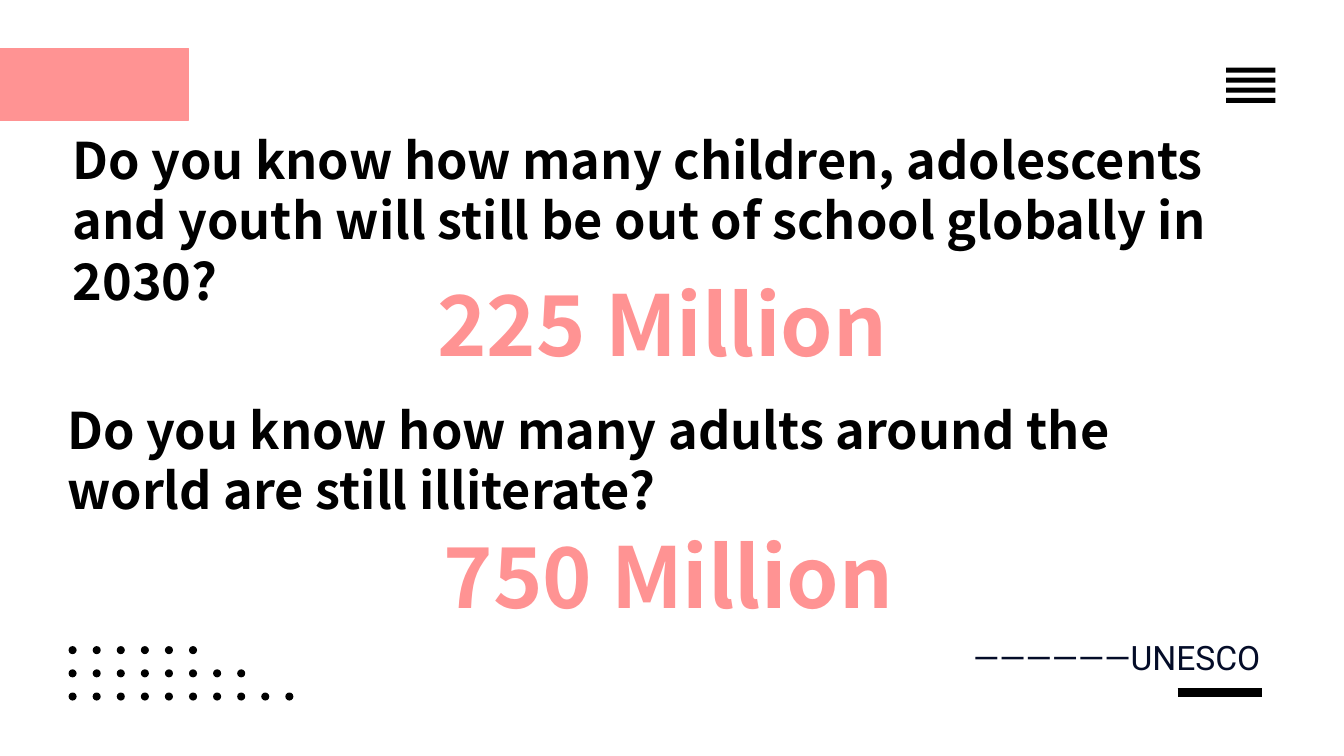
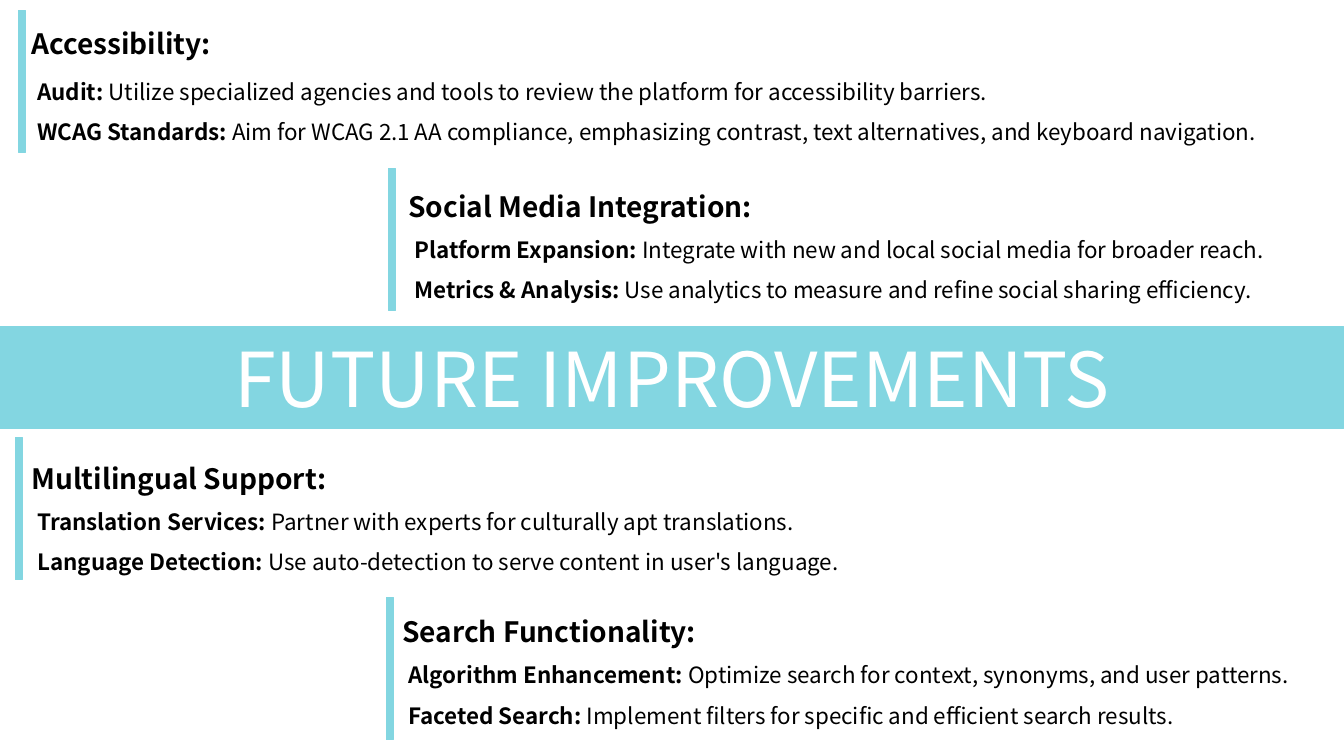
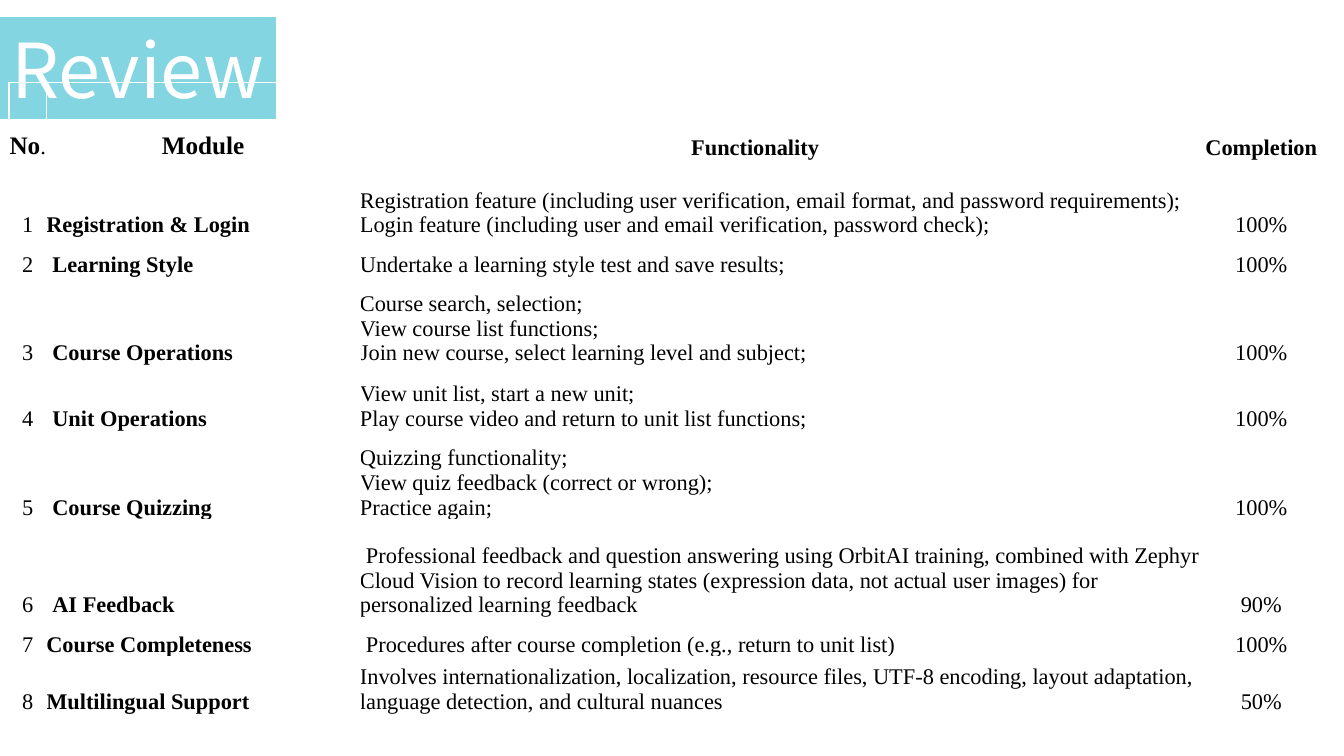
from pptx import Presentation
from pptx.dml.color import RGBColor
from pptx.enum.shapes import MSO_CONNECTOR, MSO_SHAPE
from pptx.enum.text import MSO_ANCHOR, MSO_AUTO_SIZE, PP_ALIGN
from pptx.oxml.ns import qn
from pptx.util import Inches, Pt
from lxml.etree import SubElement

COLORS = {"black": "000000", "white": "FFFFFF", "pink": "FF9393",
          "aqua": "83D6E1", "navy": "040C28"}
SANS, SERIF = "Noto Sans CJK SC", "Times New Roman"
COMPARISON, TITLE_ONLY = 4, 5  # layouts of the default template
INDENT = 0.06

# Slide 2: bar position, text box, heading, entries, extra points above the list
IMPROVEMENTS = [
    ((0.18, 0.1), (0.21, 0.05, 12.91, 1.46), "Accessibility:", [
        ("Audit: ", "Utilize specialized agencies and tools to review the platform "
                    "for accessibility barriers."),
        ("WCAG Standards: ", "Aim for WCAG 2.1 AA compliance, emphasizing contrast, "
                             "text alternatives, and keyboard navigation.")], 3),
    ((3.85, 1.67), (3.95, 1.66, 9.17, 1.37), "Social Media Integration:", [
        ("Platform Expansion: ", "Integrate with new and local social media for broader reach."),
        ("Metrics & Analysis: ", "Use analytics to measure and refine social sharing "
                                 "efficiency.")], 0),
    ((0.15, 4.34), (0.21, 4.36, 9.79, 1.37), "Multilingual Support:", [
        ("Translation Services: ", "Partner with experts for culturally apt translations."),
        ("Language Detection: ", "Use auto-detection to serve content in user's language.")], 0),
    ((3.83, 5.93), (3.89, 5.88, 9.28, 1.37), "Search Functionality:", [
        ("Algorithm Enhancement: ", "Optimize search for context, synonyms, and user patterns."),
        ("Faceted Search: ", "Implement filters for specific and efficient search results.")], 0),
]

# Slide 3: row height, module, module indent, functions, function indent, completion
MODULES = [
    (0.77, "Registration & Login", 0,
     ["Registration feature (including user verification, email format, and password "
      "requirements); Login feature (including user and email verification, password check);"],
     0, "100%"),
    (0.39, "Learning Style", INDENT,
     ["Undertake a learning style test and save results;"], 0, "100%"),
    (0.88, "Course Operations", INDENT,
     ["Course search, selection;", "View course list functions;",
      "Join new course, select learning level and subject;"], 0, "100%"),
    (0.65, "Unit Operations", INDENT,
     ["View unit list, start a new unit;",
      "Play course video and return to unit list functions;"], 0, "100%"),
    (0.88, "Course Quizzing", INDENT,
     ["Quizzing functionality;", "View quiz feedback (correct or wrong);",
      "Practice again;"], 0, "100%"),
    (0.97, "AI Feedback", INDENT,
     ["Professional feedback and question answering using OrbitAI training, combined with "
      "Zephyr Cloud Vision to record learning states (expression data, not actual user "
      "images) for personalized learning feedback"], INDENT, "90%"),
    (0.39, "Course Completeness", 0,
     ["Procedures after course completion (e.g., return to unit list)"], INDENT, "100%"),
    (0.57, "Multilingual Support", 0,
     ["Involves internationalization, localization, resource files, UTF-8 encoding, layout "
      "adaptation, language detection, and cultural nuances"], 0, "50%"),
]
COLUMN_WIDTHS = [0.37, 3.11, 8.34, 1.2]
HEADER_HEIGHT = 0.77


def color(name):
    return RGBColor.from_string(COLORS[name])


def place(shape, left, top, width, height):
    shape.left, shape.top = Inches(left), Inches(top)
    shape.width, shape.height = Inches(width), Inches(height)


def paint(shape, name, line_width=None):
    shape.fill.solid()
    shape.fill.fore_color.rgb = color(name)
    if line_width:
        shape.line.color.rgb = color(name)
        shape.line.width = Pt(line_width)
    else:
        shape.line.fill.background()


def add_block(shapes, kind, box, name, line_width=None):
    shape = shapes.add_shape(kind, *map(Inches, box))
    shape.shadow.inherit = False
    paint(shape, name, line_width)


def add_run(paragraph, text, size, name="black", bold=False, font=SANS):
    run = paragraph.add_run()
    run.text = text
    run.font.size, run.font.bold, run.font.name = Pt(size), bold, font
    run.font.color.rgb = color(name)


def next_paragraph(frame, index):
    return frame.add_paragraph() if index else frame.paragraphs[0]


def set_indent(paragraph, left=0, first=0):
    properties = paragraph._p.get_or_add_pPr()
    properties.set("marL", str(Inches(left)))
    properties.set("indent", str(Inches(first)))


def set_title(slide, box, text, size, name, bold=False, align=PP_ALIGN.CENTER,
              anchor=MSO_ANCHOR.MIDDLE, wrap=True):
    title = slide.shapes.title
    place(title, *box)
    frame = title.text_frame
    frame.auto_size, frame.word_wrap = MSO_AUTO_SIZE.NONE, wrap
    frame.vertical_anchor = anchor
    frame.paragraphs[0].alignment = align
    add_run(frame.paragraphs[0], text, size, name, bold)
    return title


def add_banner_title(slide, top, width, text, wrap=True):
    title = set_title(slide, (0, top, width, 1.01), text, 54, "white", wrap=wrap)
    paint(title, "aqua", 0.75)


def add_text(slide, box, text, size, name, bold=True, font=SANS, align=PP_ALIGN.LEFT):
    frame = slide.shapes.add_textbox(*map(Inches, box)).text_frame
    frame.word_wrap = True
    frame.paragraphs[0].alignment = align
    add_run(frame.paragraphs[0], text, size, name, bold, font)


def fill_list(placeholder, box, heading, entries, extra_space):
    place(placeholder, *box)
    frame = placeholder.text_frame
    frame.auto_size, frame.vertical_anchor = MSO_AUTO_SIZE.NONE, MSO_ANCHOR.TOP
    for index, entry in enumerate([heading, *entries]):
        paragraph = next_paragraph(frame, index)
        paragraph.line_spacing = 1.5
        paragraph.space_before = Pt(extra_space if index == 1 else 0)
        set_indent(paragraph, left=INDENT if index else 0)
        SubElement(paragraph._p.get_or_add_pPr(), qn("a:buNone"))
        if index == 0:
            add_run(paragraph, entry, 20, bold=True)
        else:
            label, detail = entry
            add_run(paragraph, label, 16, bold=True)
            add_run(paragraph, detail, 16)


def fill_cell(cell, lines, align=PP_ALIGN.LEFT, first=0, margin_right=0):
    """Each line is a list of (text, size, bold) runs."""
    cell.fill.background()
    cell.vertical_anchor = MSO_ANCHOR.BOTTOM
    cell.margin_left = cell.margin_top = cell.margin_bottom = 0
    cell.margin_right = Inches(margin_right)
    for index, runs in enumerate(lines):
        paragraph = next_paragraph(cell.text_frame, index)
        paragraph.alignment = align
        set_indent(paragraph, first=first)
        for text, size, bold in runs:
            add_run(paragraph, text, size, bold=bold, font=SERIF)


def build_facts(slide):
    set_title(slide, (0.62, 1.23, 12.08, 1.92),
              "Do you know how many children, adolescents and youth will still be "
              "out of school globally in 2030?", 36, "black", True,
              PP_ALIGN.LEFT, MSO_ANCHOR.TOP)

    # Menu icon, corner block and dots
    menu = slide.shapes.add_group_shape()
    for row in range(4):
        add_block(menu.shapes, MSO_SHAPE.RECTANGLE, (12.16, 0.67 + 0.1 * row, 0.49, 0.05), "black")
    add_block(slide.shapes, MSO_SHAPE.RECTANGLE, (0, 0.48, 1.87, 0.71), "pink", 1)
    dots = slide.shapes.add_group_shape()
    for row, count in enumerate([6, 8, 10]):
        for column in range(count):
            add_block(dots.shapes, MSO_SHAPE.OVAL,
                      (0.68 + 2.15 / 9 * column, 6.41 + 0.23 * row, 0.08, 0.08), "black")

    # Rule under the source
    rule = slide.shapes.add_connector(MSO_CONNECTOR.STRAIGHT, Inches(11.68), Inches(6.87),
                                      Inches(12.52), Inches(6.87))
    rule.line.color.rgb, rule.line.width = color("black"), Pt(6)
    SubElement(rule._element.spPr, qn("a:effectLst"))

    # Answers, second question and source
    add_text(slide, (4.24, 2.65, 4.73, 1.11), "225 Million", 60, "pink")
    add_text(slide, (0.57, 3.91, 12.08, 1.31),
             "Do you know how many adults around the world are still illiterate?", 36, "black")
    add_text(slide, (4.3, 5.15, 4.73, 1.11), "750 Million", 60, "pink")
    add_text(slide, (9.22, 6.27, 3.38, 0.91), "——————UNESCO", 24, "navy", False,
             "Roboto", PP_ALIGN.RIGHT)


def build_improvements(slide):
    add_banner_title(slide, 3.24, 13.33, "FUTURE IMPROVEMENTS")
    bodies = list(slide.placeholders)[1:5]
    for body, (bar, box, heading, entries, extra_space) in zip(bodies, IMPROVEMENTS):
        fill_list(body, box, heading, entries, extra_space)
        add_block(slide.shapes, MSO_SHAPE.RECTANGLE, (*bar, 0.07, 1.41), "aqua", 0.75)


def build_review(slide):
    add_banner_title(slide, 0.17, 2.73, "Review", wrap=False)
    heights = [HEADER_HEIGHT] + [module[0] for module in MODULES]
    table = slide.shapes.add_table(len(heights), len(COLUMN_WIDTHS), Inches(0.09), Inches(0.82),
                                   Inches(sum(COLUMN_WIDTHS)), Inches(sum(heights))).table
    table.first_row = table.horz_banding = False
    for column, width in zip(table.columns, COLUMN_WIDTHS):
        column.width = Inches(width)
    for row, height in zip(table.rows, heights):
        row.height = Inches(height)

    # Header row
    headers = [[("No", 18, True), (".", 16, False)], [("Module", 18, True)],
               [("Functionality", 16, True)], [("Completion", 16, True)]]
    for column, (runs, margin) in enumerate(zip(headers, [0, 0, 0.5, 0])):
        fill_cell(table.cell(0, column), [runs], PP_ALIGN.CENTER, margin_right=margin)

    # Module rows
    for number, (_, module, module_indent, functions, indent, done) in enumerate(MODULES, 1):
        cells = table.rows[number].cells
        fill_cell(cells[0], [[(str(number), 16, False)]], PP_ALIGN.CENTER)
        fill_cell(cells[1], [[(module, 16, True)]], first=module_indent)
        fill_cell(cells[2], [[(line, 16, False)] for line in functions], first=indent)
        fill_cell(cells[3], [[(done, 16, False)]], PP_ALIGN.CENTER)


def main():
    presentation = Presentation()
    presentation.slide_width, presentation.slide_height = Inches(13.33), Inches(7.5)
    for layout, build in [(TITLE_ONLY, build_facts), (COMPARISON, build_improvements),
                          (TITLE_ONLY, build_review)]:
        build(presentation.slides.add_slide(presentation.slide_layouts[layout]))
    presentation.save("out.pptx")


if __name__ == "__main__":
    main()
